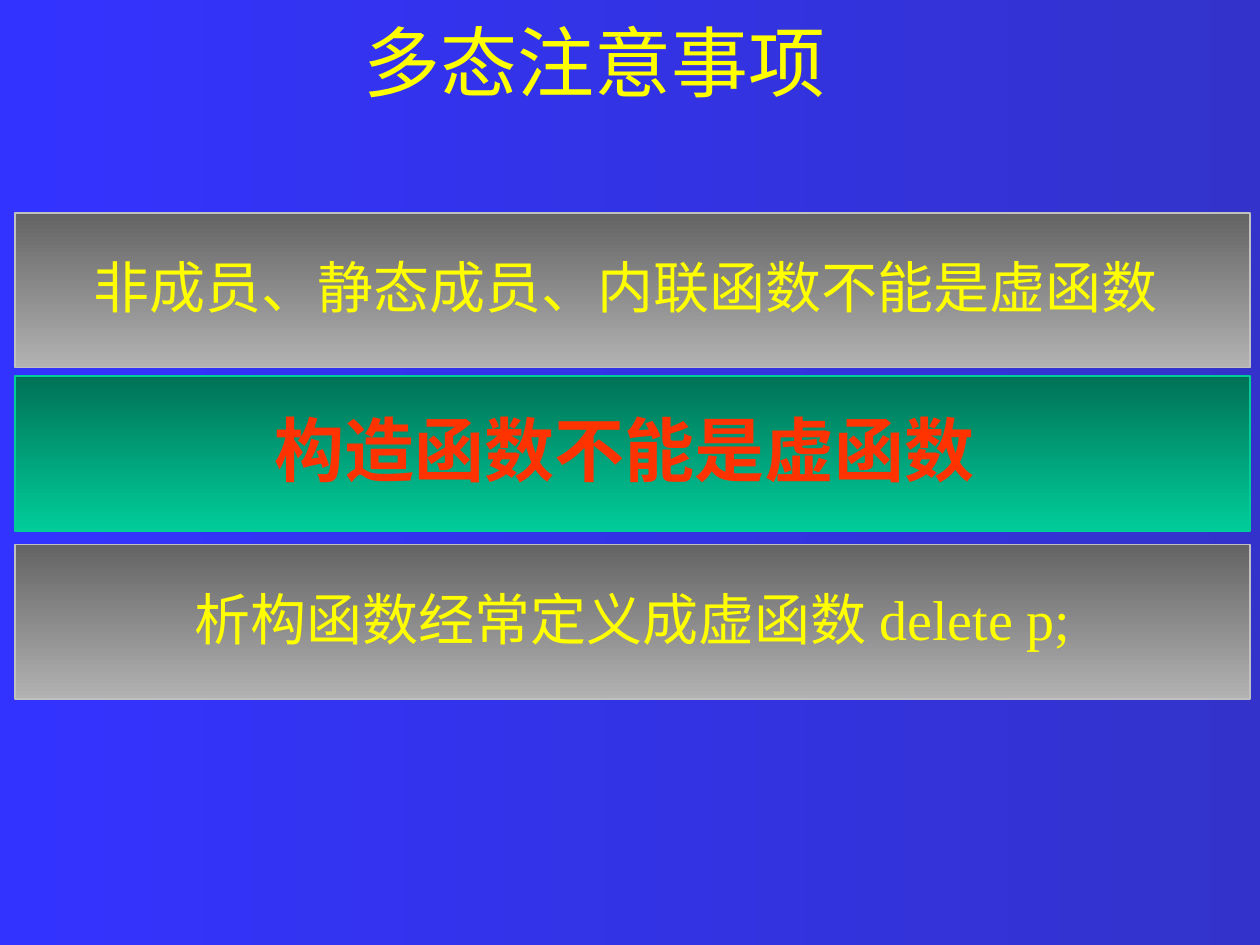
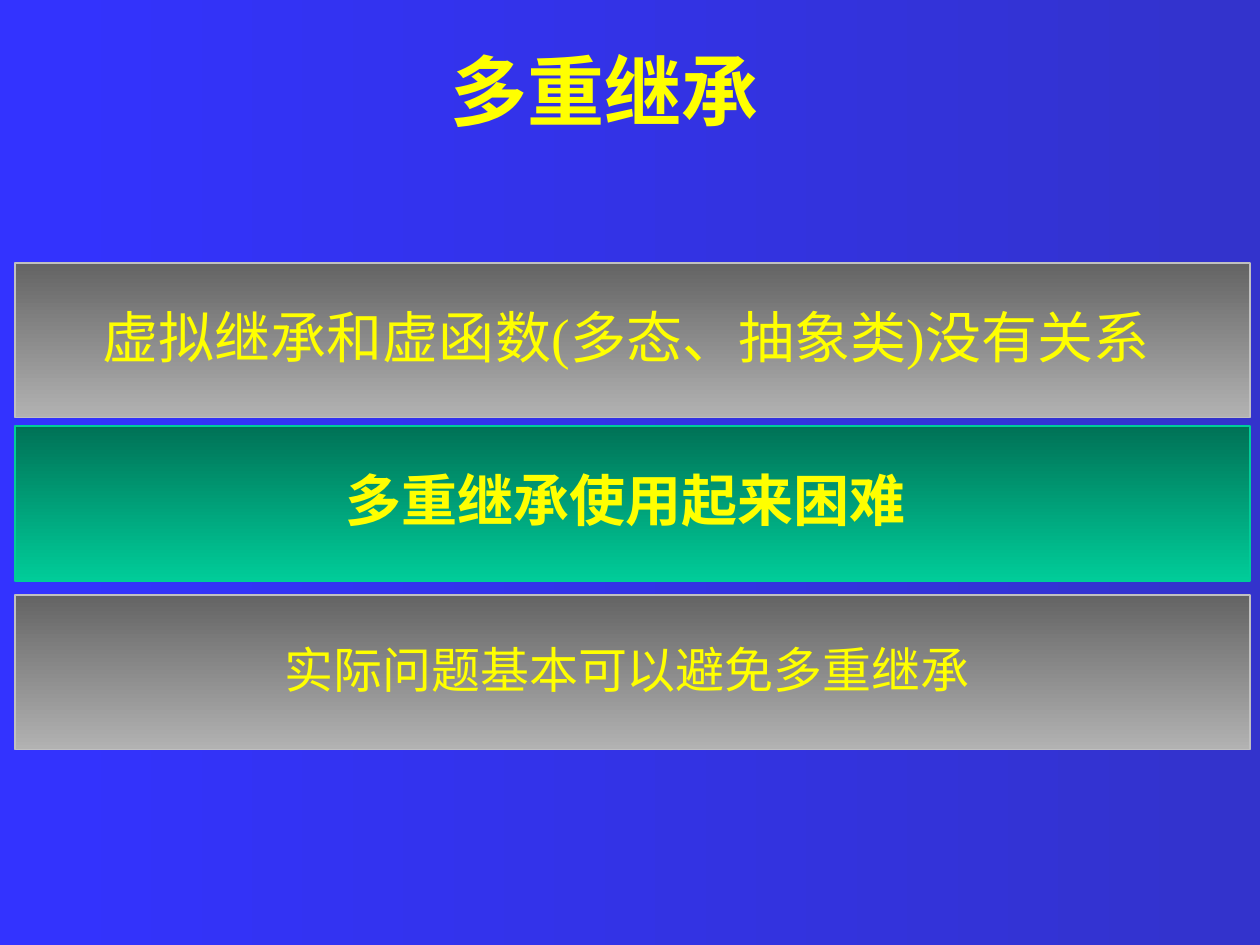
from pptx import Presentation
from pptx.dml.color import RGBColor
from pptx.enum.shapes import MSO_SHAPE
from pptx.enum.text import MSO_ANCHOR, MSO_AUTO_SIZE, PP_ALIGN
from pptx.util import Cm, Pt

RECTANGLE = MSO_SHAPE.RECTANGLE
MIDDLE = MSO_ANCHOR.MIDDLE
NO_AUTOFIT = MSO_AUTO_SIZE.NONE
CENTER = PP_ALIGN.CENTER

COLORS = {
    "page_left": "3333FF",
    "page_right": "3333CC",
    "gray_top": "646464",
    "gray_bottom": "B2B2B2",
    "gray_line": "C0C0C0",
    "green_top": "007256",
    "green_bottom": "00CC99",
    "green_line": "00CC99",
    "yellow": "FFFF00",
    "red": "FF3300",
}
FONT = "Times New Roman"
TITLE_ONLY = 5
RIGHTWARD, DOWNWARD = 0, 270
BAND_LEFT, BAND_WIDTH, BAND_HEIGHT = 0.3, 24.9, 3.12
BAND_OFFSETS = (0, 3.29, 6.69)
BAND_STYLES = ("gray", "green", "gray")


def color(name):
    return RGBColor.from_string(COLORS[name])


def fill_gradient(fill, start, end, angle):
    fill.gradient()
    fill.gradient_angle = angle
    for stop, name in zip(fill.gradient_stops, (start, end)):
        stop.color.rgb = color(name)


def write_text(box, text, size, text_color="yellow", bold=False, line_spacing=1.0, wrap=True):
    frame = box.text_frame
    frame_format = {"word_wrap": wrap, "vertical_anchor": MIDDLE, "auto_size": NO_AUTOFIT}
    for name, value in frame_format.items():
        setattr(frame, name, value)
    para = frame.paragraphs[0]
    for name, value in {"alignment": CENTER, "line_spacing": line_spacing}.items():
        setattr(para, name, value)
    span = para.add_run()
    span.text = text
    for name, value in {"name": FONT, "size": Pt(size), "bold": bold}.items():
        setattr(span.font, name, value)
    span.font.color.rgb = color(text_color)


def add_title(page, text, left, top, bold=False):
    title = page.shapes.title
    place = {"left": Cm(left), "top": Cm(top), "width": Cm(25.4), "height": Cm(1.8)}
    for name, value in place.items():
        setattr(title, name, value)
    write_text(title, text, 44, bold=bold)


def add_band(page, top, style, text_format):
    band = page.shapes.add_shape(
        RECTANGLE, Cm(BAND_LEFT), Cm(top), Cm(BAND_WIDTH), Cm(BAND_HEIGHT)
    )
    band.shadow.inherit = False
    fill_gradient(band.fill, f"{style}_top", f"{style}_bottom", DOWNWARD)
    band.line.color.rgb = color(f"{style}_line")
    band.line.width = Pt(1)
    write_text(band, line_spacing=0.9, wrap=False, **text_format)


def add_page(deck, title, first_top, bands):
    page = deck.slides.add_slide(deck.slide_layouts[TITLE_ONLY])
    add_title(page, **title)
    for offset, style, text_format in zip(BAND_OFFSETS, BAND_STYLES, bands):
        add_band(page, first_top + offset, style, text_format)


def main():
    deck = Presentation()
    deck.slide_width, deck.slide_height = Cm(25.4), Cm(19.05)
    fill_gradient(deck.slide_master.background.fill, "page_left", "page_right", RIGHTWARD)
    add_page(
        deck,
        {"text": "多态注意事项", "left": -0.71, "top": 0.33},
        4.29,
        [
            {"text": "非成员、静态成员、内联函数不能是虚函数 ", "size": 32},
            {"text": "构造函数不能是虚函数 ", "size": 40, "text_color": "red", "bold": True},
            {"text": "析构函数经常定义成虚函数 delete p;", "size": 32},
        ],
    )
    add_page(
        deck,
        {"text": "多重继承", "left": -0.51, "top": 0.91, "bold": True},
        5.3,
        [
            {"text": "虚拟继承和虚函数(多态、抽象类)没有关系 ", "size": 32},
            {"text": "多重继承使用起来困难 ", "size": 32, "bold": True},
            {"text": "实际问题基本可以避免多重继承 ", "size": 28},
        ],
    )
    deck.save("out.pptx")


if __name__ == "__main__":
    main()
